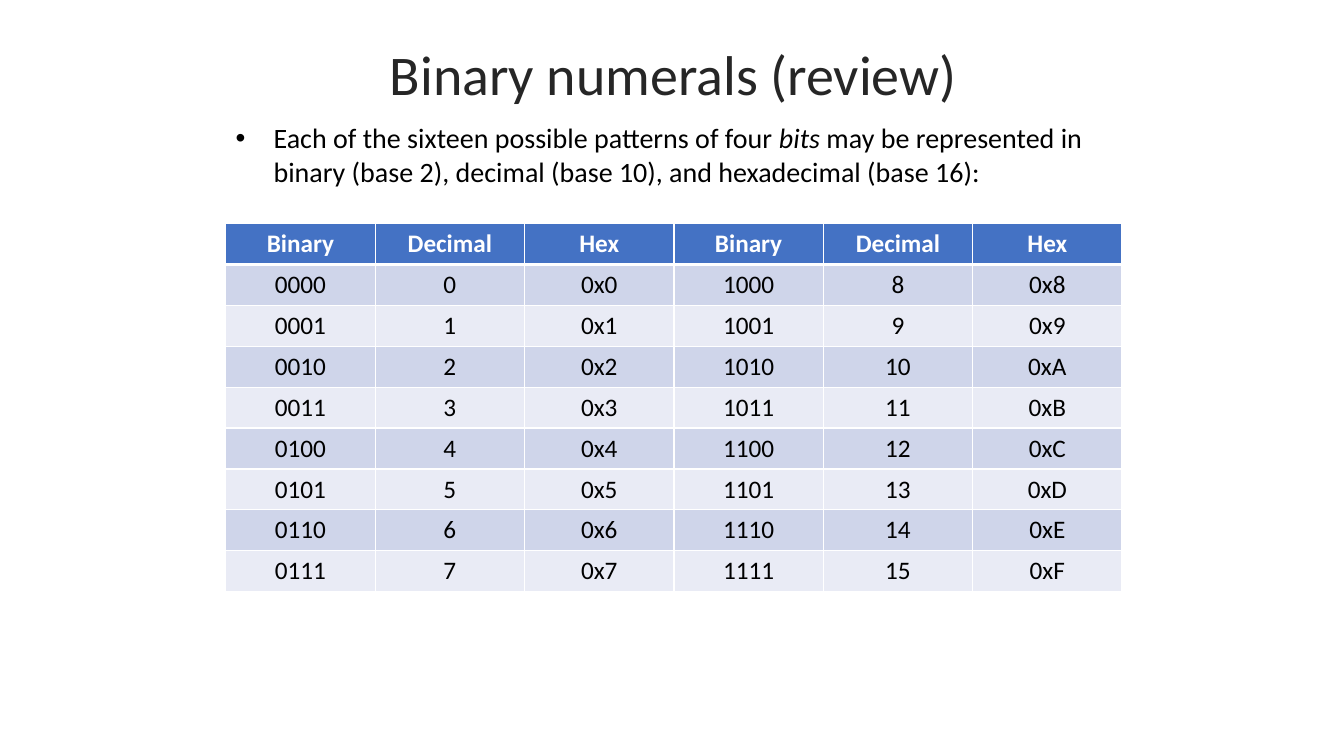
import pptx
import pptx.dml.color
import pptx.enum.text
import pptx.oxml
import pptx.oxml.ns
import pptx.util

Pt = pptx.util.Pt
ALIGN = pptx.enum.text.PP_ALIGN
ANCHOR = pptx.enum.text.MSO_ANCHOR
AUTO_SIZE = pptx.enum.text.MSO_AUTO_SIZE

FONT = "Calibri"
TITLE_COLOR = "262626"
BLACK = "000000"
WHITE = "FFFFFF"
HEADER_FILL = "4472C4"
BAND_FILLS = ("CFD5EA", "E9EBF5")

HEADINGS = ["Binary", "Decimal", "Hex"]
HALF = 8
LEFT = 161.3
COLUMN_WIDTH = 106.7
ROW_HEIGHT = 29.2


def rgb(value):
    return pptx.dml.color.RGBColor.from_string(value)


def apply_format(target, values):
    for name, value in values.items():
        setattr(target, name, value)


def add_span(para, text, size, color, **values):
    span = para.add_run()
    span.text = text
    apply_format(span.font, {"name": FONT, "size": Pt(size), **values})
    span.font.color.rgb = rgb(color)


def set_title(page, text):
    title = page.shapes.title
    apply_format(title, {"left": Pt(25.2), "top": Pt(26.6),
                         "width": Pt(911.5), "height": Pt(56.9)})
    apply_format(title.text_frame, {"vertical_anchor": ANCHOR.MIDDLE, "word_wrap": True,
                                    "auto_size": AUTO_SIZE.NONE})
    para = title.text_frame.paragraphs[0]
    apply_format(para, {"alignment": ALIGN.CENTER, "line_spacing": 0.9})
    add_span(para, text, 40, TITLE_COLOR)


def add_bullet(para, indent):
    properties = para._p.get_or_add_pPr()
    properties.set("marL", str(Pt(indent)))
    properties.set("indent", str(-Pt(indent)))
    namespace = pptx.oxml.ns.nsdecls("a")
    properties.append(pptx.oxml.parse_xml(f'<a:buFont {namespace} typeface="Arial"/>'))
    properties.append(pptx.oxml.parse_xml(f'<a:buChar {namespace} char="•"/>'))


def add_bullet_box(page, spans):
    box = page.shapes.add_textbox(Pt(LEFT), Pt(82.8), Pt(6 * COLUMN_WIDTH), Pt(55.4))
    apply_format(box.text_frame, {"word_wrap": True, "auto_size": AUTO_SIZE.SHAPE_TO_FIT_TEXT})
    para = box.text_frame.paragraphs[0]
    add_bullet(para, 27)
    for text, italic in spans:
        add_span(para, text, 20, BLACK, italic=italic)


def add_borders(cell, widths):
    properties = cell._tc.get_or_add_tcPr()
    for side, width in widths.items():
        properties.append(pptx.oxml.parse_xml(
            f'<a:ln{side} {pptx.oxml.ns.nsdecls("a")} w="{Pt(width)}">'
            f'<a:solidFill><a:srgbClr val="{WHITE}"/></a:solidFill></a:ln{side}>'))


def fill_cell(cell, text, row):
    header = row == 0
    add_borders(cell, {"L": 1, "R": 1, "T": 3 if row == 1 else 1, "B": 3 if header else 1})
    cell.fill.solid()
    cell.fill.fore_color.rgb = rgb(HEADER_FILL if header else BAND_FILLS[(row - 1) % 2])
    para = cell.text_frame.paragraphs[0]
    para.alignment = ALIGN.CENTER
    add_span(para, text, 18, WHITE if header else BLACK, bold=header)


def numeral_forms(number):
    return [f"{number:04b}", str(number), f"0x{number:X}"]


def add_numeral_table(page):
    rows = [HEADINGS * 2]
    rows += [numeral_forms(number) + numeral_forms(number + HALF) for number in range(HALF)]
    table = page.shapes.add_table(len(rows), len(rows[0]), Pt(LEFT), Pt(159.8),
                                  Pt(COLUMN_WIDTH * len(rows[0])),
                                  Pt(ROW_HEIGHT * len(rows))).table
    for column in table.columns:
        column.width = Pt(COLUMN_WIDTH)
    for row, texts in enumerate(rows):
        table.rows[row].height = Pt(ROW_HEIGHT)
        for column, text in enumerate(texts):
            fill_cell(table.cell(row, column), text, row)


def main():
    deck = pptx.Presentation()
    apply_format(deck, {"slide_width": Pt(960), "slide_height": Pt(540)})
    page = deck.slides.add_slide(deck.slide_layouts.get_by_name("Title Only"))
    set_title(page, "Binary numerals (review)")
    add_bullet_box(page, [
        ("Each of the sixteen possible patterns of four ", False),
        ("bits", True),
        (" may be represented in binary (base 2), decimal (base 10), "
         "and hexadecimal (base 16):", False),
    ])
    add_numeral_table(page)
    deck.save("out.pptx")


if __name__ == "__main__":
    main()
